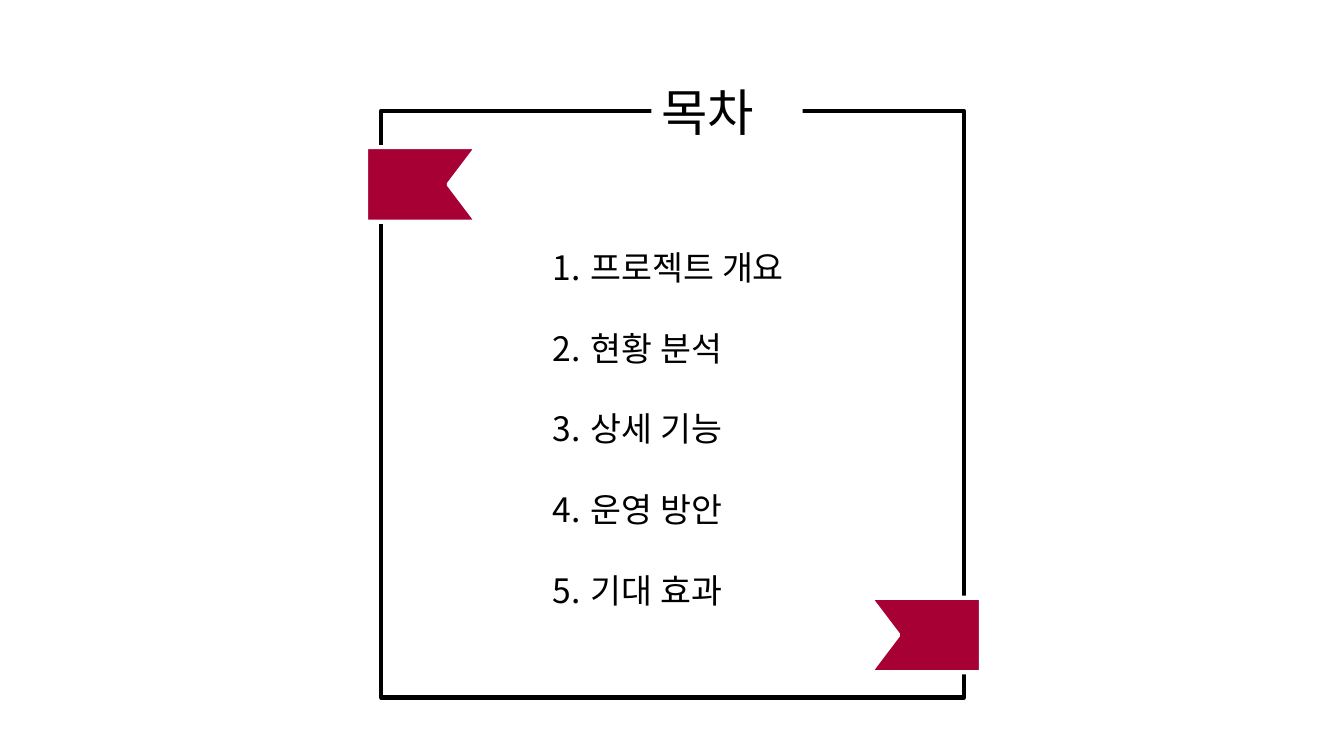
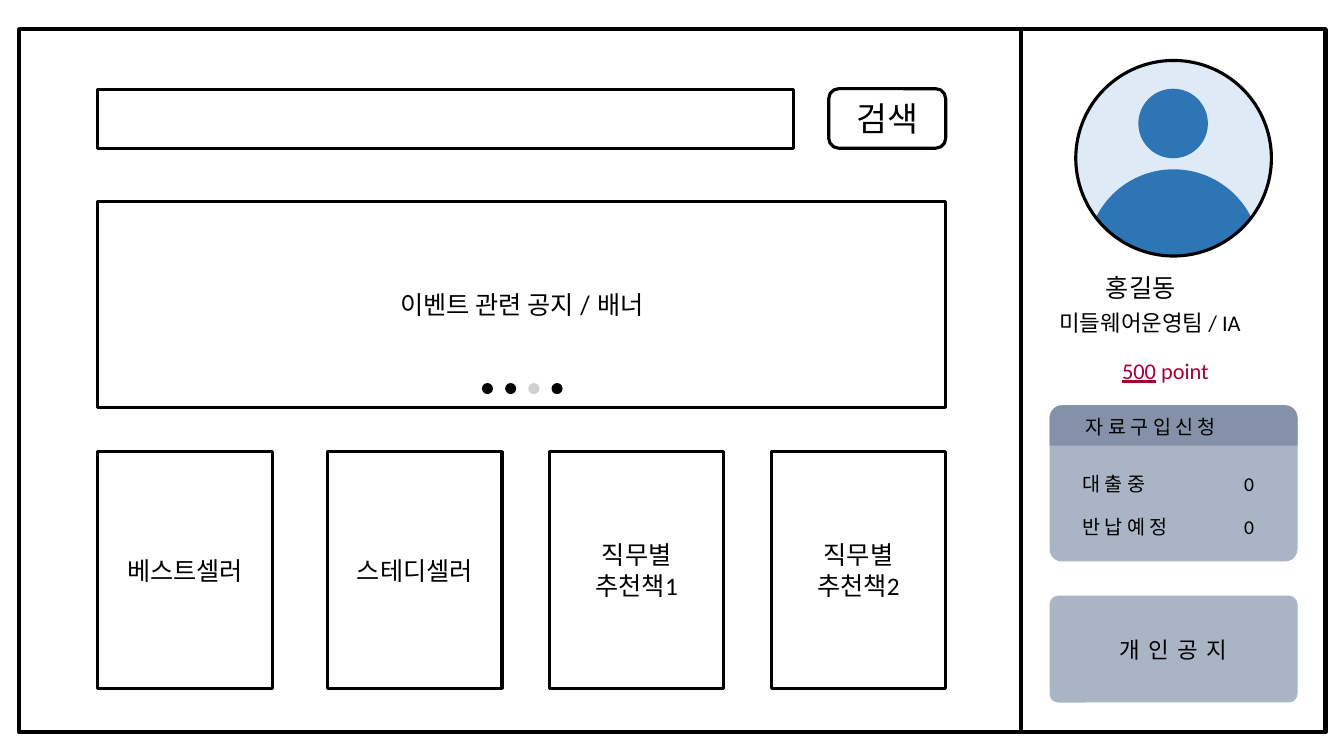
from math import cos, radians, sin

from lxml import etree
from pptx import Presentation
from pptx import util as u
from pptx.dml.color import RGBColor
from pptx.enum import shapes, text
from pptx.oxml import ns

PX = u.Inches(1) // 100
COLORS = {
    "black": "000000", "white": "FFFFFF", "crimson": "A60034",
    "sky": "DEEBF7", "blue": "2E75B6", "card": "A9B4C5",
    "header": "8491A8", "gray": "D0CECE",
}
KIND = shapes.MSO_SHAPE
LEFT, CENTER = text.PP_ALIGN.LEFT, text.PP_ALIGN.CENTER


def draw(s, kind, geometry, fill=None, width=0, line="black"):
    if kind == "outline":
        points = [(round(x * PX), round(y * PX)) for x, y in geometry]
        builder = s.shapes.build_freeform(*points[0])
        builder.add_line_segments(points[1:], close=True)
        sp = builder.convert_to_shape()
    else:
        sp = s.shapes.add_shape(kind, *[v * PX for v in geometry])
    sp.shadow.inherit = False
    if fill:
        sp.fill.solid()
        sp.fill.fore_color.rgb = RGBColor.from_string(COLORS[fill])
    else:
        sp.fill.background()
    if width:
        sp.line.width = u.Pt(width)
        sp.line.color.rgb = RGBColor.from_string(COLORS[line])
    else:
        sp.line.fill.background()
    return sp


def write(sp, lines, size, font, align=LEFT, spacing=0, color="black"):
    tf = sp.text_frame
    tf.word_wrap = True
    tf.auto_size = text.MSO_AUTO_SIZE.NONE
    tf.text = lines
    for p in tf.paragraphs:
        p.alignment = align
        for r in p.runs:
            r.font.size = u.Pt(size)
            r.font.name = font
            r.font.color.rgb = RGBColor.from_string(COLORS[color])
            if spacing:
                r._r.get_or_add_rPr().set("spc", str(spacing * 100))


prs = Presentation()
prs.slide_width, prs.slide_height = 1333 * PX, 750 * PX

s = prs.slides.add_slide(prs.slide_layouts[1])
frame = draw(s, KIND.RECTANGLE, (378, 110, 578, 582), "white", 3)
s.shapes._spTree.insert(2, frame._element)

title, body = s.shapes.title, s.placeholders[1]
title.left, title.top, title.width, title.height = [v * PX for v in (646, 75, 150, 71)]
title.fill.solid()
title.fill.fore_color.rgb = RGBColor.from_string(COLORS["white"])
title.text_frame.vertical_anchor = text.MSO_ANCHOR.TOP
write(title, "목차", 36, "Arial")

body.left, body.top, body.width, body.height = [v * PX for v in (538, 200, 265, 402)]
write(body, "프로젝트 개요\n현황 분석\n상세 기능\n운영 방안\n기대 효과", 24, "Calibri")
for p in body.text_frame.paragraphs:
    p.line_spacing = 2.0
    p.space_before = u.Pt(0)
    pPr = p._p.get_or_add_pPr()
    pPr.set("marL", str(38 * PX))
    pPr.set("indent", str(-38 * PX))
    etree.SubElement(pPr, ns.qn("a:buFont")).set("typeface", "+mj-lt")
    etree.SubElement(pPr, ns.qn("a:buAutoNum")).set("type", "arabicPeriod")

RIBBON = [(0, 0), (110, 0), (82, 37), (110, 74), (0, 74)]
for x, y, sign in [(363, 146, 1), (973, 667, -1)]:
    corners = [(x + sign * dx, y + sign * dy) for dx, dy in RIBBON]
    draw(s, "outline", corners, "crimson", 3, "white")

s = prs.slides.add_slide(prs.slide_layouts[6])
draw(s, KIND.RECTANGLE, (19, 29, 1296, 697), "white", 3)
draw(s, KIND.RECTANGLE, (1013, 29, 301, 697), "white", 3)

avatar = (1067, 60, 194, 194)
draw(s, KIND.OVAL, avatar, "sky")
draw(s, KIND.OVAL, (1129, 88, 69, 69), "blue")
shoulders = [(1164 + 86 * cos(radians(a)), 254 + 86 * sin(radians(a)))
             for a in range(207, 334, 2)]
shoulders += [(1164 + 97 * cos(radians(a)), 157 + 97 * sin(radians(a)))
              for a in range(37, 144, 2)]
draw(s, "outline", shoulders, "blue")
draw(s, KIND.OVAL, avatar, None, 2.25)

loans = draw(s, KIND.ROUNDED_RECTANGLE, (1041, 402, 246, 155), "card")
loans.adjustments[0] = 0.08
header = draw(s, KIND.ROUND_2_SAME_RECTANGLE, (1041, 402, 246, 40), "header")
header.adjustments[0] = 0.32
notice = draw(s, KIND.ROUNDED_RECTANGLE, (1041, 591, 246, 106), "card")
notice.adjustments[0] = 0.08
write(notice, "개인공지", 16, "Calibri", CENTER, 6)

labels = [
    ("홍길동", (1087, 265, 154, 40), 18, "Lato", 0, "black"),
    ("미들웨어운영팀 / IA", (1041, 302, 246, 37), 16, "Calibri", 0, "black"),
    ("500 point", (1103, 349, 121, 37), 16, "Calibri", 0, "crimson"),
    ("자 료 구 입 신 청", (1067, 407, 194, 34), 14, "Calibri", 0, "black"),
]
for y, name in [(463, "대출중"), (506, "반납예정")]:
    labels.append((name, (1064, y, 113, 34), 14, "Calibri", 3, "black"))
    labels.append(("0", (1224, y, 39, 34), 14, "Calibri", 3, "black"))
for words, box, size, font, spacing, color in labels:
    sp = s.shapes.add_textbox(*[v * PX for v in box])
    write(sp, words, size, font, LEFT, spacing, color)
    if words == "500 point":
        p = sp.text_frame.paragraphs[0]
        amount, unit = p.runs[0], p.add_run()
        amount.text, unit.text = "500", " point"
        amount.font.underline = True
        unit.font.size = u.Pt(size)
        unit.font.name = font
        unit.font.color.rgb = RGBColor.from_string(COLORS[color])

draw(s, KIND.RECTANGLE, (97, 89, 690, 58), None, 2.25)
search = draw(s, KIND.ROUNDED_RECTANGLE, (822, 88, 116, 59), None, 2.25)
write(search, "검색", 24, "Lato", CENTER)
banner = draw(s, KIND.RECTANGLE, (97, 200, 841, 204), None, 2.25)
write(banner, "이벤트 관련 공지 / 배너", 18, "Lato", CENTER)
for i, color in enumerate(["black", "black", "gray", "black"]):
    draw(s, KIND.OVAL, (478 + 23 * i, 380, 11, 11), color)

books = [(97, "베스트셀러"), (325, "스테디셀러"),
         (545, "직무별\n추천책1"), (765, "직무별\n추천책2")]
for x, name in books:
    book = draw(s, KIND.RECTANGLE, (x, 448, 173, 235), None, 2.25)
    write(book, name, 18, "Calibri", CENTER)

prs.save("out.pptx")
